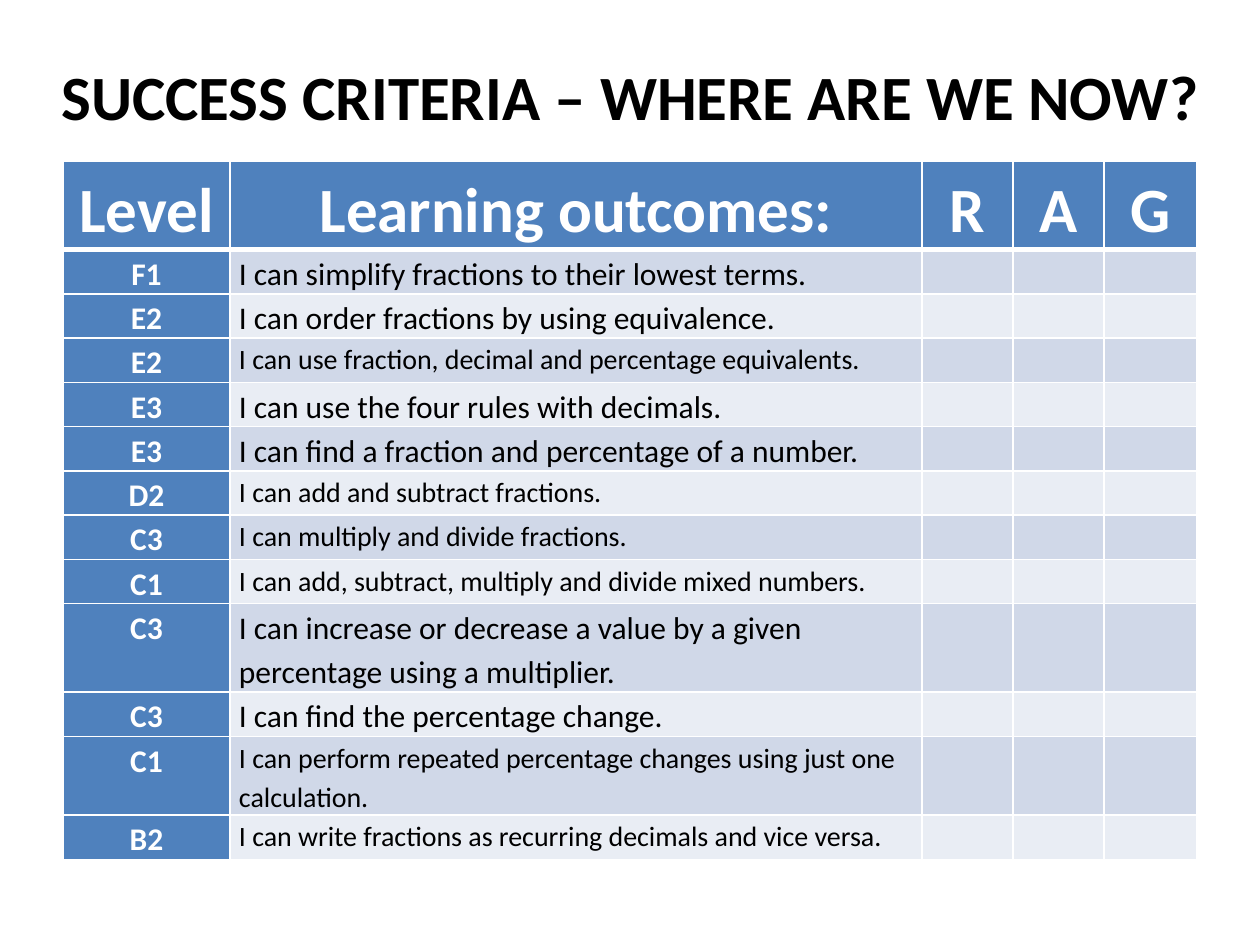
from lxml.etree import SubElement
from pptx import Presentation
from pptx.dml.color import RGBColor
from pptx.enum.text import MSO_ANCHOR as Anchor, PP_ALIGN as Align
from pptx.oxml.ns import qn
from pptx.util import Pt

PX = 914400 // 126
BLACK = RGBColor(0x00, 0x00, 0x00)
WHITE = RGBColor(0xFF, 0xFF, 0xFF)
BLUE = RGBColor(0x4F, 0x81, 0xBD)
BANDS = [RGBColor(0xD0, 0xD8, 0xE8), RGBColor(0xE9, 0xED, 0xF4)]

HEADINGS = ["Level", "Learning outcomes:", "R", "A", "G"]
COLUMN_WIDTHS = [167, 692, 91, 91, 93]
# level, learning outcome, text size, row height
OUTCOMES = [
    ("F1", "I can simplify fractions to their lowest terms.", 18, 44),
    ("E2", "I can order fractions by using equivalence.", 18, 44),
    ("E2", "I can use fraction, decimal and percentage equivalents.", 16, 44),
    ("E3", "I can use the four rules with decimals.", 18, 44),
    ("E3", "I can find a fraction and percentage of a number.", 18, 44),
    ("D2", "I can add and subtract fractions.", 16, 44),
    ("C3", "I can multiply and divide fractions.", 16, 44),
    ("C1", "I can add, subtract, multiply and divide mixed numbers.", 16, 44),
    ("C3", "I can increase or decrease a value by a given percentage using a multiplier.", 18, 88),
    ("C3", "I can find the percentage change.", 18, 44),
    ("C1", "I can perform repeated percentage changes using just one calculation.", 16, 78),
    ("B2", "I can write fractions as recurring decimals and vice versa.", 16, 44),
]


def write(para, text, size, color, bold, align):
    para.alignment = align
    span = para.add_run()
    span.text = text
    span.font.name = "Calibri"
    span.font.size = Pt(size)
    span.font.bold = bold
    span.font.color.rgb = color


def dress(cell, fill, top, bottom):
    """Set margins, white borders (top and bottom widths in points) and fill."""
    cell.margin_left = cell.margin_right = 9 * PX
    cell.margin_top = cell.margin_bottom = 0
    properties = cell._tc.get_or_add_tcPr()
    for side, width in (("L", 1), ("R", 1), ("T", top), ("B", bottom)):
        line = SubElement(properties, qn(f"a:ln{side}"), w=str(Pt(width)))
        SubElement(SubElement(line, qn("a:solidFill")), qn("a:srgbClr"), val=str(WHITE))
    cell.fill.solid()
    cell.fill.fore_color.rgb = fill


deck = Presentation()
deck.slide_width, deck.slide_height = 1260 * PX, 945 * PX
page = deck.slides.add_slide(deck.slide_layouts[5])

title = page.shapes.title
title.left, title.top, title.width, title.height = 35 * PX, 16 * PX, 1191 * PX, 158 * PX
title.text_frame.vertical_anchor = Anchor.MIDDLE
write(title.text_frame.paragraphs[0], "SUCCESS CRITERIA – WHERE ARE WE NOW?",
      36, BLACK, True, Align.CENTER)

heights = [87] + [outcome[3] for outcome in OUTCOMES]
frame = page.shapes.add_table(len(heights), len(HEADINGS), 63 * PX, 161 * PX,
                              sum(COLUMN_WIDTHS) * PX, sum(heights) * PX)
table = frame.table
table.first_col = True
for column, width in zip(table.columns, COLUMN_WIDTHS):
    column.width = width * PX
for row, height in zip(table.rows, heights):
    row.height = height * PX

for cell, heading in zip(table.rows[0].cells, HEADINGS):
    dress(cell, BLUE, 1, 3)
    para = cell.text_frame.paragraphs[0]
    para.line_spacing = 1.15
    write(para, heading, 36, WHITE, True, Align.CENTER)

for number, (level, outcome, size, height) in enumerate(OUTCOMES, 1):
    cells = list(table.rows[number].cells)
    for index, cell in enumerate(cells):
        fill = BANDS[(number - 1) % 2] if index else BLUE
        dress(cell, fill, 3 if number == 1 else 1, 1)
    for cell in cells[:2]:
        cell.text_frame.paragraphs[0].line_spacing = 1.15
    write(cells[0].text_frame.paragraphs[0], level, 18, WHITE, True, Align.CENTER)
    write(cells[1].text_frame.paragraphs[0], outcome, size, BLACK, False, Align.LEFT)

deck.save("out.pptx")
